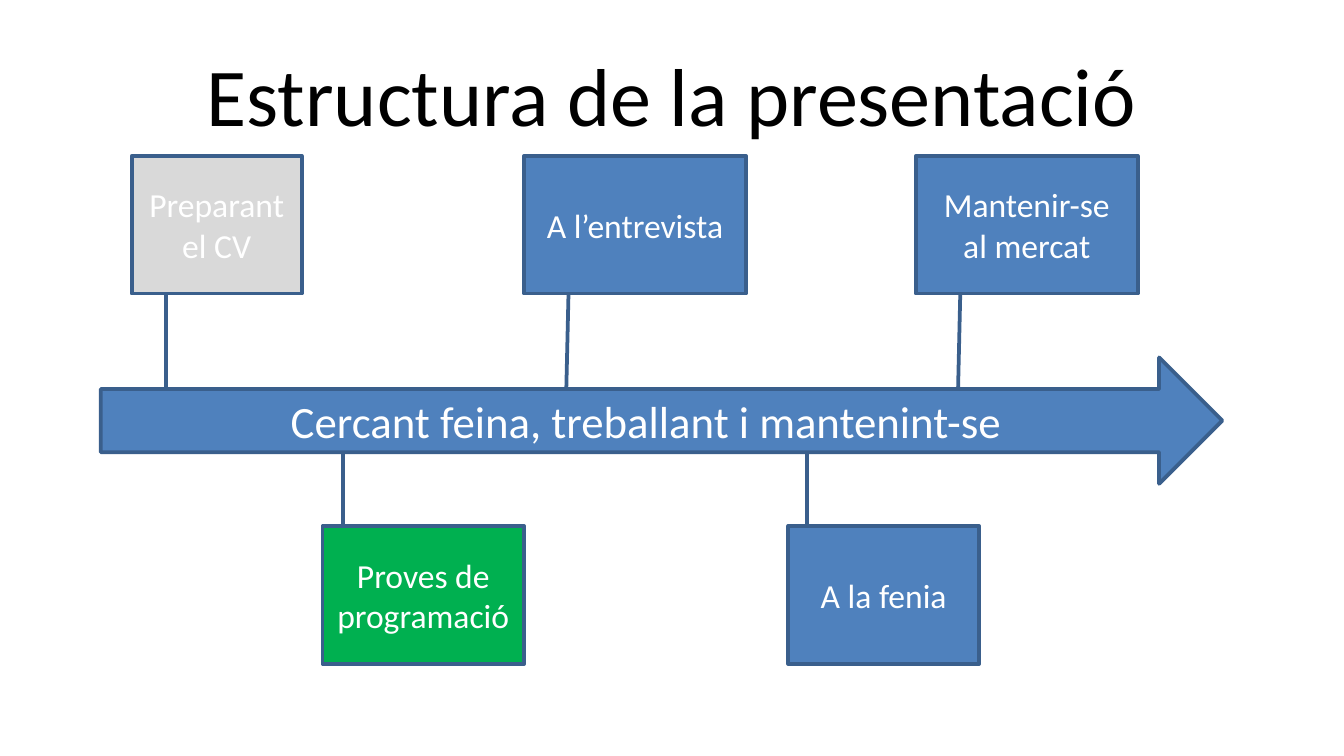
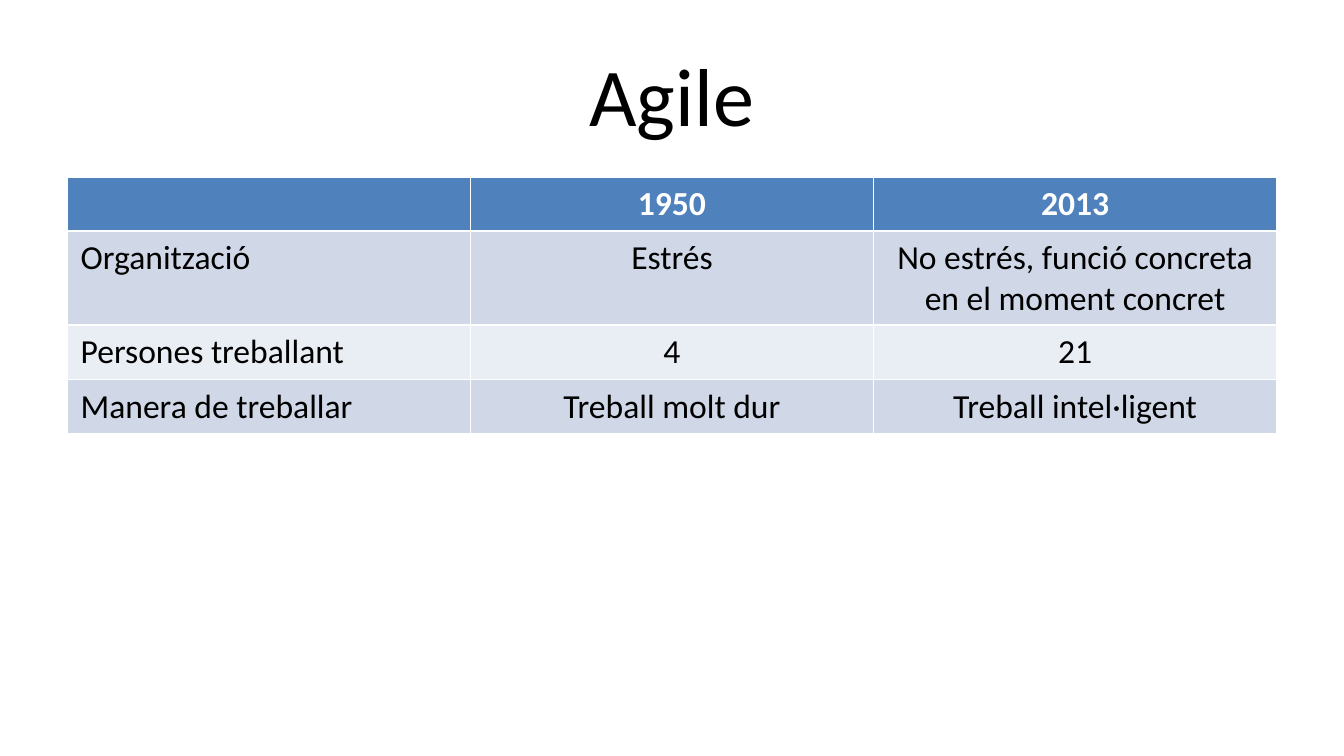
"""Builds two slides: the talk's timeline and an Agile comparison table."""
from typing import Any, NamedTuple

from pptx import Presentation
from pptx.dml.color import RGBColor
from pptx.enum.shapes import MSO_SHAPE as Preset
from pptx.enum.text import MSO_ANCHOR as Anchor, PP_ALIGN as Align
from pptx.util import Pt

PX = 4572
SLIDE_WIDTH, SLIDE_HEIGHT = 2000, 1125
FONT = "Calibri"
BLACK, WHITE = "000000", "FFFFFF"
BLUE, OUTLINE = "4F81BD", "3A5F8C"
GREY, GREEN = "D9D9D9", "00B050"
BANDS = ("D0D8E8", "E9EDF4")

UPPER_TOP, LOWER_TOP, CALLOUT_HEIGHT = 232, 783, 205
ROW_HEIGHT, COLUMN_WIDTH = 81, 600


class Box(NamedTuple):
    left: int
    top: int
    width: int
    height: int

    def emu(self) -> list[int]:
        return [value * PX for value in self]


class Callout(NamedTuple):
    text: str
    left: int
    top: int
    width: int
    fill: str
    leader: tuple[float, float, float, float]


TITLE_BOX = Box(100, 45, 1800, 188)
ARROW_BOX = Box(150, 532, 1669, 188)
TABLE_LEFT, TABLE_TOP = 100, 263

LEADER_DOWN = (1.0, 0.2, 1.7, 0.19)
LEADER_UP = (0, 0.1, -0.54, 0.1)
CALLOUTS = (
    Callout("Preparant el CV", 196, UPPER_TOP, 253, GREY, (1.0, 0.2, 1.7, 0.2)),
    Callout("Proves de programació", 480, LOWER_TOP, 300, GREEN, LEADER_UP),
    Callout("A l’entrevista", 780, UPPER_TOP, 330, BLUE, LEADER_DOWN),
    Callout("A la fenia", 1173, LOWER_TOP, 284, BLUE, LEADER_UP),
    Callout("Mantenir-se al mercat", 1363, UPPER_TOP, 330, BLUE, LEADER_DOWN),
)

COMPARISON = (
    ("", "1950", "2013"),
    ("Organització", "Estrés", "No estrés, funció concreta en el moment concret"),
    ("Persones treballant", "4", "21"),
    ("Manera de treballar", "Treball molt dur", "Treball intel·ligent"),
)


def color(value: str) -> RGBColor:
    return RGBColor.from_string(value)


def apply_format(target: Any, values: dict[str, Any]) -> None:
    for name, value in values.items():
        setattr(target, name, value)


def fill_solid(target: Any, value: str) -> None:
    target.fill.solid()
    target.fill.fore_color.rgb = color(value)


def write_text(frame: Any, text: str, size: int, text_color: str,
               align: Align = Align.CENTER, bold: bool = False) -> None:
    paragraph = frame.paragraphs[0]
    paragraph.alignment = align
    run = paragraph.add_run()
    run.text = text
    apply_format(run.font, {"name": FONT, "size": Pt(size), "bold": bold})
    run.font.color.rgb = color(text_color)


def add_title(slide: Any, text: str) -> None:
    frame = slide.shapes.add_textbox(*TITLE_BOX.emu()).text_frame
    apply_format(frame, {"word_wrap": True, "vertical_anchor": Anchor.MIDDLE})
    write_text(frame, text, 44, BLACK)


def add_outlined(slide: Any, preset: Preset, box: Box, fill: str,
                 text: str, size: int) -> Any:
    shape = slide.shapes.add_shape(preset, *box.emu())
    shape.shadow.inherit = False
    fill_solid(shape, fill)
    shape.line.width = Pt(2)
    shape.line.color.rgb = color(OUTLINE)
    apply_format(shape.text_frame,
                 {"word_wrap": True, "vertical_anchor": Anchor.MIDDLE})
    write_text(shape.text_frame, text, size, WHITE)
    return shape


def add_callout(slide: Any, callout: Callout) -> None:
    box = Box(callout.left, callout.top, callout.width, CALLOUT_HEIGHT)
    shape = add_outlined(slide, Preset.LINE_CALLOUT_1, box, callout.fill,
                         callout.text, 18)
    for index, value in enumerate(callout.leader):
        shape.adjustments[index] = value


def add_comparison(slide: Any) -> None:
    row_count, column_count = len(COMPARISON), len(COMPARISON[0])
    box = Box(TABLE_LEFT, TABLE_TOP, COLUMN_WIDTH * column_count,
              ROW_HEIGHT * row_count)
    table = slide.shapes.add_table(row_count, column_count, *box.emu()).table
    for row, texts in enumerate(COMPARISON):
        header = row == 0
        for column, text in enumerate(texts):
            cell = table.cell(row, column)
            fill_solid(cell, BLUE if header else BANDS[(row - 1) % 2])
            if text:
                write_text(cell.text_frame, text, 18,
                           WHITE if header else BLACK,
                           Align.CENTER if column else Align.LEFT, header)


def main() -> None:
    presentation = Presentation()
    apply_format(presentation, {"slide_width": SLIDE_WIDTH * PX,
                                "slide_height": SLIDE_HEIGHT * PX})
    blank = presentation.slide_layouts[6]

    timeline = presentation.slides.add_slide(blank)
    add_title(timeline, "Estructura de la presentació")
    add_outlined(timeline, Preset.RIGHT_ARROW, ARROW_BOX, BLUE,
                 "Cercant feina, treballant i mantenint-se", 24)
    for callout in CALLOUTS:
        add_callout(timeline, callout)

    agile = presentation.slides.add_slide(blank)
    add_title(agile, "Agile")
    add_comparison(agile)

    presentation.save("out.pptx")


if __name__ == "__main__":
    main()
